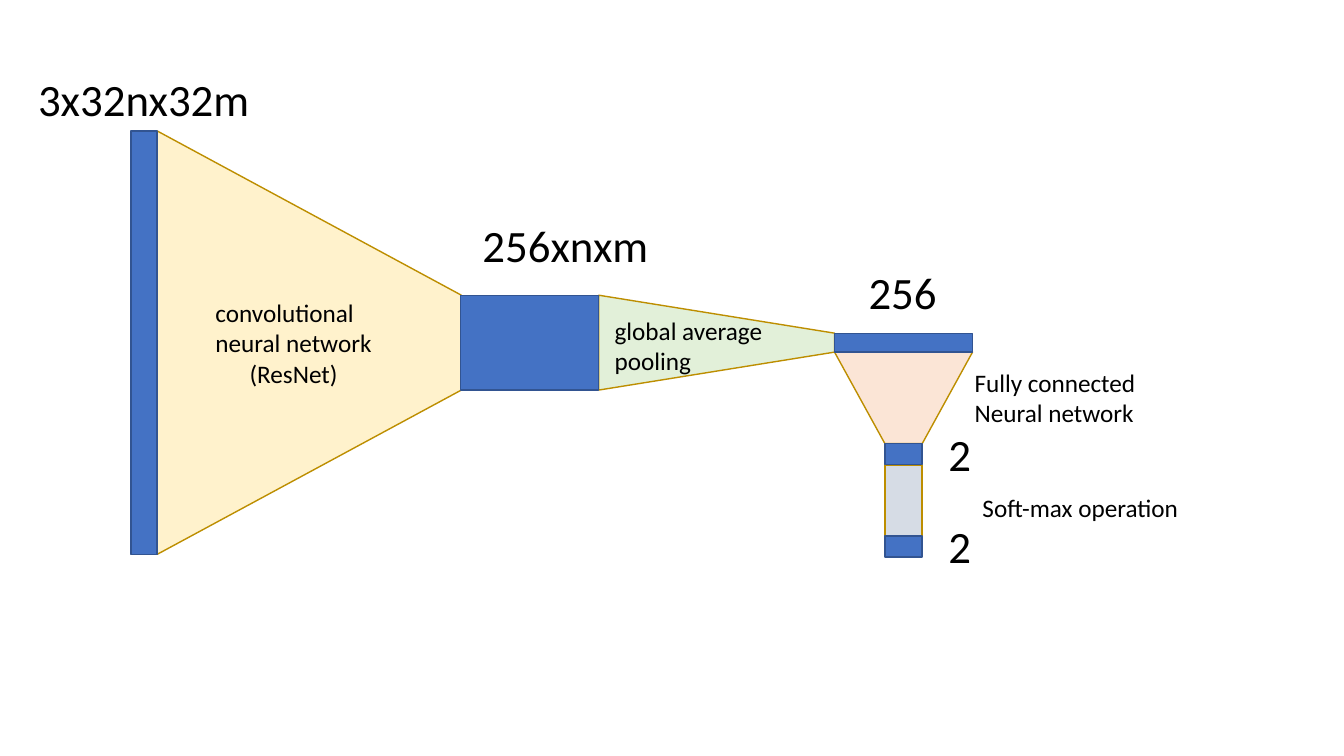
from pptx import Presentation
from pptx.dml.color import RGBColor
from pptx.enum import shapes, text
from pptx.util import Cm, Pt

BLUE = RGBColor(0x44, 0x72, 0xC4)
DARK_BLUE = RGBColor(0x32, 0x54, 0x91)
GOLD = RGBColor(0xBD, 0x8E, 0x00)
YELLOW = RGBColor(0xFF, 0xF2, 0xCC)
GREEN = RGBColor(0xE2, 0xF0, 0xD9)
ORANGE = RGBColor(0xFB, 0xE5, 0xD6)
GRAY = RGBColor(0xD6, 0xDC, 0xE5)
BLACK = RGBColor(0, 0, 0)

presentation = Presentation()
presentation.slide_width, presentation.slide_height = Cm(33.87), Cm(19.05)
slide = presentation.slides.add_slide(presentation.slide_layouts[6])


def add_block(kind, left, top, width, height, fill, line):
    shape = slide.shapes.add_shape(kind, Cm(left), Cm(top), Cm(width), Cm(height))
    shape.shadow.inherit = False
    shape.fill.solid()
    shape.fill.fore_color.rgb = fill
    shape.line.color.rgb = line
    shape.line.width = Pt(1)
    return shape


def add_label(left, top, width, height, size, lines):
    box = slide.shapes.add_textbox(Cm(left), Cm(top), Cm(width), Cm(height))
    frame = box.text_frame
    frame.word_wrap = False
    frame.auto_size = text.MSO_AUTO_SIZE.SHAPE_TO_FIT_TEXT
    frame.text = "\n".join(lines)
    for paragraph in frame.paragraphs:
        paragraph.font.name = "Calibri"
        paragraph.font.size = Pt(size)
        paragraph.font.color.rgb = BLACK
    return frame


# Operations: box as seen, rotation, taper, fill
operations = [
    (22.3, 11.72, 0.94, 1.8, 180, 0, GRAY),          # soft-max
    (3.96, 3.3, 7.66, 10.67, 90, 0.54, YELLOW),      # convolution
    (21.03, 8.87, 3.48, 2.31, 180, 0.55, ORANGE),    # fully connected
    (15.09, 7.44, 5.94, 2.39, 90, 0.4, GREEN),       # pooling
]
for left, top, width, height, rotation, taper, fill in operations:
    if rotation == 90:  # a quarter turn swaps the sides about the centre
        left, top = left + (width - height) / 2, top + (height - width) / 2
        width, height = height, width
    shape = add_block(shapes.MSO_SHAPE.TRAPEZOID, left, top, width, height, fill, GOLD)
    shape.adjustments[0] = taper
    shape.rotation = rotation

# Data tensors
tensors = [
    (3.3, 3.3, 0.66, 10.67),
    (11.61, 7.44, 3.48, 2.39),
    (21.03, 8.41, 3.48, 0.46),
    (22.3, 11.18, 0.94, 0.53),
    (22.3, 13.51, 0.94, 0.53),
]
for box in tensors:
    add_block(shapes.MSO_SHAPE.RECTANGLE, *box, BLUE, DARK_BLUE)

# Tensor sizes
sizes = [
    (0.71, 1.68, 5.89, "3x32nx32m"),
    (11.91, 5.36, 4.75, "256xnxm"),
    (21.64, 6.55, 2.26, "256"),
    (23.65, 10.64, 1.09, "2"),
    (23.65, 12.95, 1.09, "2"),
]
for left, top, width, caption in sizes:
    add_label(left, top, width, 1.62, 32, [caption])

# Operation names
convolution = add_label(5.18, 7.37, 4.5, 2.57, 18,
                        ["convolutional ", "neural network", "(ResNet)"])
convolution.paragraphs[-1].alignment = text.PP_ALIGN.CENTER
add_label(15.24, 7.82, 4.42, 1.8, 18, ["global average ", "pooling"])
add_label(24.31, 9.12, 4.75, 1.8, 18, ["Fully connected ", "Neural network"])
add_label(24.51, 12.27, 5.51, 1.02, 18, ["Soft-max operation"])

presentation.save("out.pptx")
